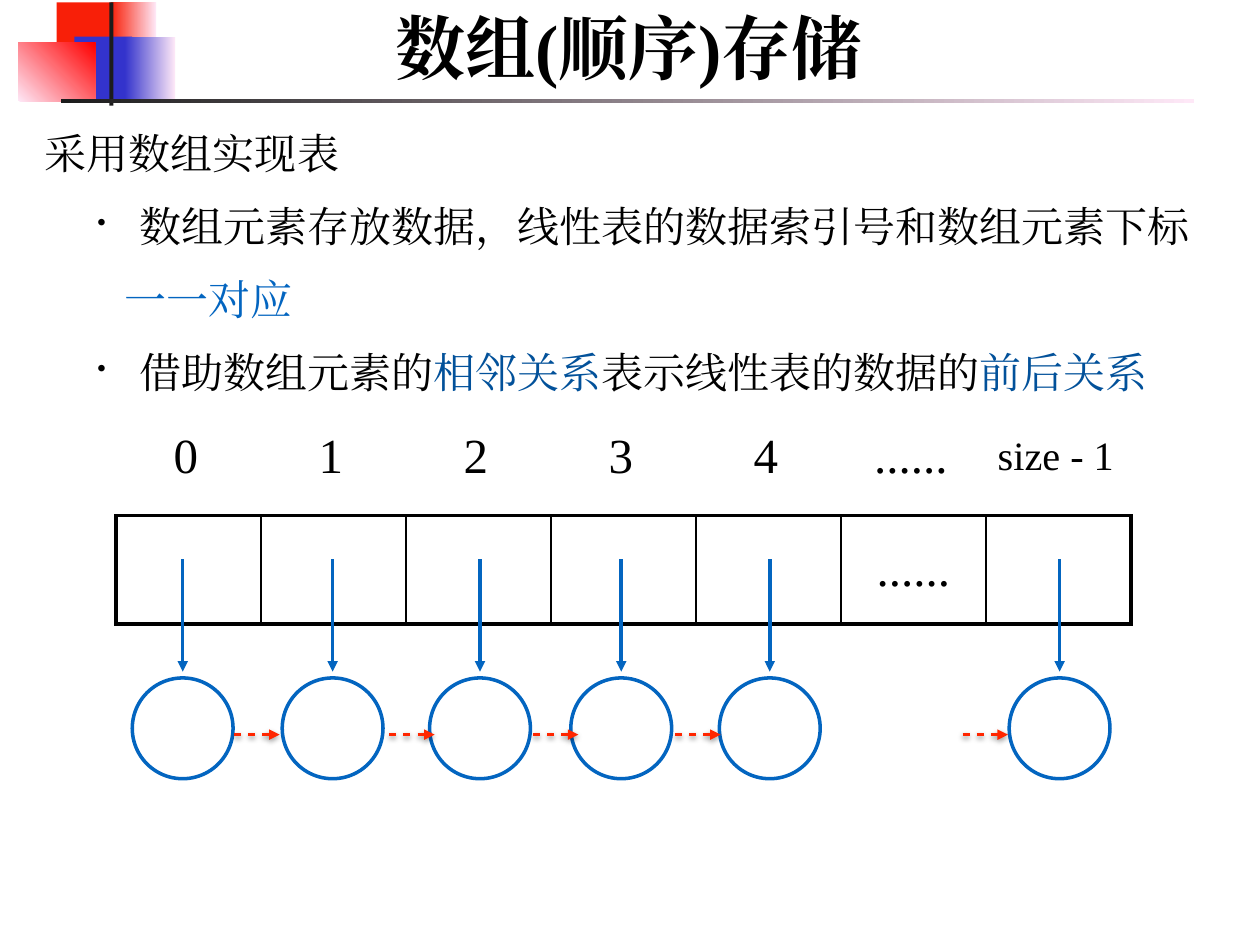
from lxml.etree import SubElement
from pptx import Presentation
from pptx.dml.color import RGBColor
from pptx.enum.lang import MSO_LANGUAGE_ID
from pptx.enum.shapes import MSO_CONNECTOR, MSO_SHAPE
from pptx.enum.text import MSO_ANCHOR, PP_ALIGN
from pptx.oxml.ns import qn
from pptx.util import Pt

FONT = "Times New Roman"
BLACK, BLUE, NAVY, RED, PALE = "000000", "0365C0", "02519A", "FF2600", "FEE8F7"
DECORATION = [
    (32.4, 1.4, 34.6, 37.4, ["F81F08"], 0),
    (63.4, 1.4, 25.9, 37.4, ["F81F08", PALE], 0),
    (42.5, 20.9, 33.1, 37.4, ["3333CC"], 0),
    (71.3, 20.9, 28.8, 37.4, ["3333CC", PALE], 0),
    (10.4, 24.5, 44, 33.4, [PALE, "FF0000"], 45),
    (62.6, 1.4, 2.2, 59, ["1C1C1C"], 0),
    (34.6, 56.7, 648, 2.2, ["1C1C1C", PALE], 0),
]
TITLE = "数组(顺序)存储"
BODY = [
    (3, 0, False, [("采用数组实现表", BLACK)]),
    (57, -24, True, [("数组元素存放数据，线性表的数据索引号和数组元素下标", BLACK)]),
    (48.5, 0, False, [("一一对应", BLUE)]),
    (57, -24, True, [("借助数组元素的", BLACK), ("相邻关系", NAVY),
                     ("表示线性表的数据的", BLACK), ("前后关系", NAVY)]),
]
INDEXES = ["0", "1", "2", "3", "4", "......", "size - 1"]
CELLS = ["", "", "", "", "", "......", ""]
COLUMN_WIDTH, ROW_HEIGHT = 82.86, 61.8
NODE_CENTERS = [104.4, 190.1, 274.3, 355, 439.9, 605.5]
NODE_TOP, NODE_SIZE = 387.4, 57.6
POINTER_TOP, POINTER_BOTTOM = 319.7, 383.8
LINK_STARTS = [133.9, 222.5, 304.6, 385.9, 550.1]
LINK_Y, LINK_LENGTH = 419.8, 25.9


def color(value):
    return RGBColor.from_string(value)


def add_run(paragraph, text, size, value, bold=False):
    run = paragraph.add_run()
    run.text = text
    formats = {"size": Pt(size), "name": FONT, "bold": bold,
               "language_id": MSO_LANGUAGE_ID.SIMPLIFIED_CHINESE}
    for name, setting in formats.items():
        setattr(run.font, name, setting)
    run.font.color.rgb = color(value)
    SubElement(run.font._element, qn("a:ea"), typeface=FONT)


def add_text_frame(left, top, width, height, anchor):
    frame = slide.shapes.add_textbox(Pt(left), Pt(top), Pt(width), Pt(height)).text_frame
    formats = {"word_wrap": True, "vertical_anchor": anchor, "margin_left": Pt(4),
               "margin_right": Pt(4), "margin_top": Pt(4), "margin_bottom": Pt(4)}
    for name, setting in formats.items():
        setattr(frame, name, setting)
    return frame


def add_plain_shape(kind, left, top, width, height):
    shape = slide.shapes.add_shape(kind, Pt(left), Pt(top), Pt(width), Pt(height))
    shape.shadow.inherit = False
    return shape


def add_decoration(left, top, width, height, colors, angle):
    shape = add_plain_shape(MSO_SHAPE.RECTANGLE, left, top, width, height)
    shape.line.fill.background()
    if len(colors) == 1:
        shape.fill.solid()
        shape.fill.fore_color.rgb = color(colors[0])
        return
    shape.fill.gradient()
    shape.fill.gradient_angle = angle
    for stop, value in zip(shape.fill.gradient_stops, colors):
        stop.color.rgb = color(value)


def add_arrow(start, end, value, link=False):
    arrow = slide.shapes.add_connector(
        MSO_CONNECTOR.STRAIGHT, *(Pt(length) for length in start + end))
    arrow.line.color.rgb = color(value)
    arrow.line.width = Pt(2)
    line = arrow.line._get_or_add_ln()
    if link:
        dashes = SubElement(line, qn("a:custDash"))
        SubElement(dashes, qn("a:ds"), d="200000", sp="200000")
    SubElement(line, qn("a:tailEnd"), type="triangle")
    effects = SubElement(arrow._element.spPr, qn("a:effectLst"))
    if link:
        shadow = SubElement(effects, qn("a:outerShdw"), blurRad=str(Pt(3)),
                            dist=str(Pt(1.6)), dir="5400000", rotWithShape="0")
        shade = SubElement(shadow, qn("a:srgbClr"), val=BLACK)
        SubElement(shade, qn("a:alpha"), val="38000")


def set_border(cell, side, width):
    border = SubElement(cell._tc.get_or_add_tcPr(), qn(f"a:ln{side}"), w=str(Pt(width)))
    if width:
        fill = SubElement(border, qn("a:solidFill"))
        SubElement(fill, qn("a:srgbClr"), val=BLACK)
    else:
        SubElement(border, qn("a:noFill"))


def add_array(left, top, texts, bordered):
    count = len(texts)
    table = slide.shapes.add_table(
        1, count, Pt(left), Pt(top), Pt(COLUMN_WIDTH * count), Pt(ROW_HEIGHT)).table
    table.first_row = table.horz_banding = False
    for position, text in enumerate(texts):
        table.columns[position].width = Pt(COLUMN_WIDTH)
        cell = table.cell(0, position)
        formats = {"vertical_anchor": MSO_ANCHOR.MIDDLE, "margin_left": Pt(4),
                   "margin_right": Pt(4), "margin_top": Pt(4), "margin_bottom": Pt(4)}
        for name, setting in formats.items():
            setattr(cell, name, setting)
        widths = {"L": 2.25 if position == 0 else 1,
                  "R": 2.25 if position == count - 1 else 1, "T": 2.25, "B": 2.25}
        for side, width in widths.items():
            set_border(cell, side, width if bordered else 0)
        cell.fill.background()
        if text:
            paragraph = cell.text_frame.paragraphs[0]
            paragraph.alignment = PP_ALIGN.CENTER
            add_run(paragraph, text, 23 if text == "size - 1" else 28, BLACK)


def add_body():
    frame = add_text_frame(18.7, 59, 675.4, 181.4, MSO_ANCHOR.MIDDLE)
    for position, (margin, indent, bulleted, runs) in enumerate(BODY):
        paragraph = frame.add_paragraph() if position else frame.paragraphs[0]
        properties = paragraph._p.get_or_add_pPr()
        properties.set("marL", str(Pt(margin)))
        properties.set("indent", str(Pt(indent)))
        if bulleted:
            SubElement(properties, qn("a:buSzPct"), val="60000")
            SubElement(properties, qn("a:buChar"), char="•")
        if position:
            paragraph.space_before = Pt(13)
        for text, value in runs:
            add_run(paragraph, text, 24, value)


presentation = Presentation()
presentation.slide_width, presentation.slide_height = Pt(720), Pt(540)
slide = presentation.slides.add_slide(presentation.slide_layouts[6])

for decoration in DECORATION:
    add_decoration(*decoration)

title = add_text_frame(46.8, -1.4, 625, 64, MSO_ANCHOR.TOP).paragraphs[0]
title.alignment = PP_ALIGN.CENTER
add_run(title, TITLE, 40, BLACK, True)
add_body()

add_array(66.2, 294.7, CELLS, True)
add_array(64.8, 230.4, INDEXES, False)

for center in NODE_CENTERS:
    node = add_plain_shape(
        MSO_SHAPE.OVAL, center - NODE_SIZE / 2, NODE_TOP, NODE_SIZE, NODE_SIZE)
    node.fill.solid()
    node.fill.fore_color.rgb = color("FFFFFF")
    node.line.color.rgb = color(BLUE)
    node.line.width = Pt(2)
    add_arrow((center, POINTER_TOP), (center, POINTER_BOTTOM), BLUE)

for start in LINK_STARTS:
    add_arrow((start, LINK_Y), (start + LINK_LENGTH, LINK_Y), RED, True)

presentation.save("out.pptx")
